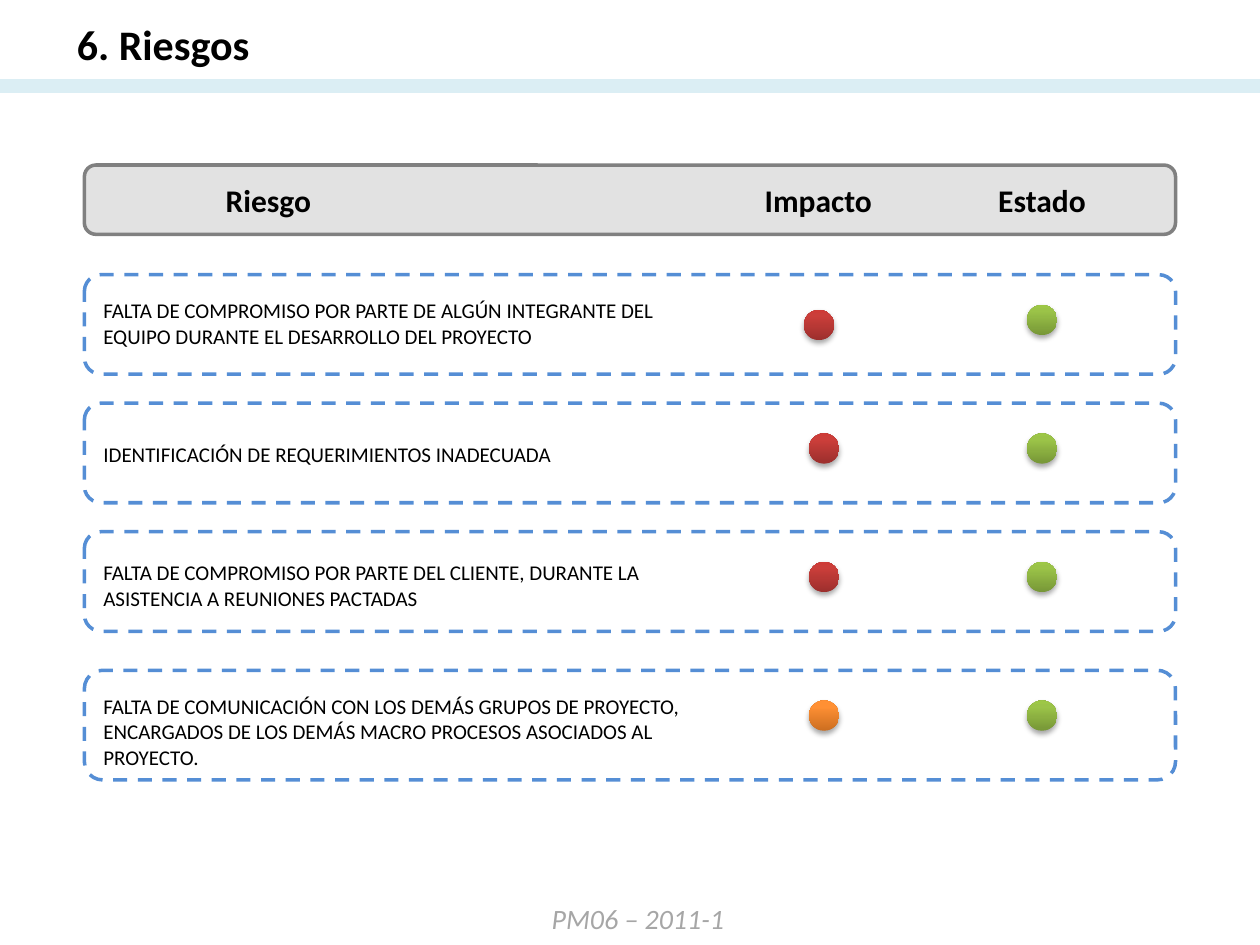
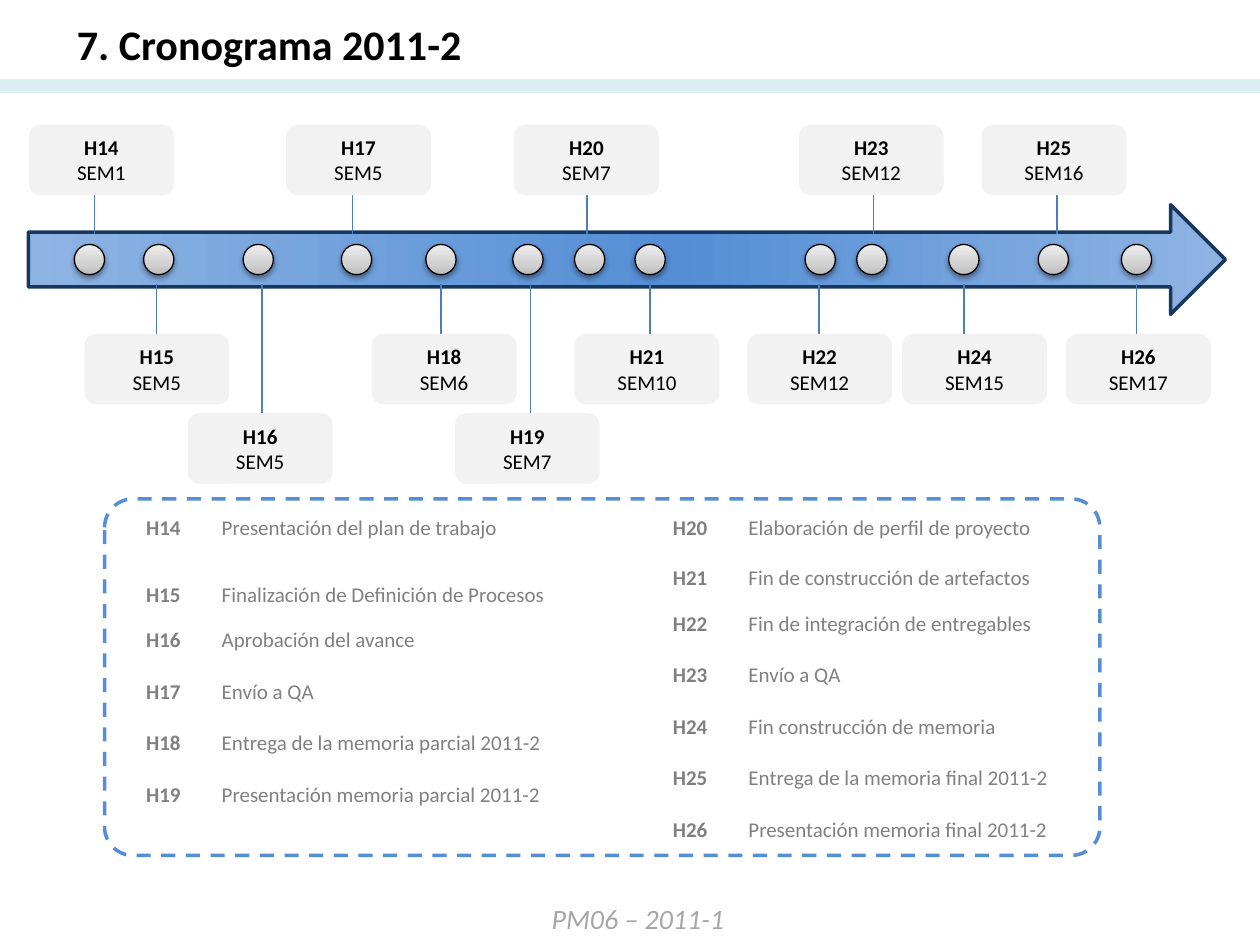
from lxml import etree
from pptx import Presentation
from pptx.dml.color import RGBColor
from pptx.enum import dml, shapes, text
from pptx.oxml.ns import qn
from pptx.util import Inches, Pt

FONT = "Calibri"
COLORS = {
    "black": "000000", "band": "DBEEF4", "footer": "A6A6A6",
    "header": "BFBFBF", "header_line": "808080", "dash": "558ED5",
    "arrow_line": "17375E", "connector": "4B7EBC", "card": "F2F2F2",
    "legend": "808080",
}
GRADIENTS = {
    "green": [(0, "779737"), (80, "9BC348"), (100, "9DC746")],
    "red": [(0, "9C2F2D"), (80, "CB3E3A"), (100, "CE3B37")],
    "orange": [(0, "CC6E20"), (80, "FF9034"), (100, "FF9136")],
    "grey": [(0, "BDBDBD"), (35, "D1D1D1"), (100, "EEEEEE")],
    "arrow": [(0, "8EB4E3"), (46, "558ED5"), (100, "8EB4E3")],
}
SHAPE = shapes.MSO_SHAPE
DOT = 0.24


def rgb(name):
    return RGBColor.from_string(COLORS[name])


def add_color(parent, value, alpha=None):
    color = etree.SubElement(parent, qn("a:srgbClr"), val=value)
    if alpha is not None:
        etree.SubElement(color, qn("a:alpha"), val=str(alpha * 1000))


class Deck:
    """Shared style plus the slide being built."""

    def __init__(self):
        self.presentation = Presentation()
        self.presentation.slide_width = Inches(10)
        self.presentation.slide_height = Inches(7.5)
        self.slide = None

    def start_slide(self, title):
        layout = self.presentation.slide_layouts.get_by_name("Title Only")
        self.slide = self.presentation.slides.add_slide(layout)
        # Title
        shape = self.slide.shapes.title
        shape.left, shape.top = Inches(0.51), Inches(0.1)
        shape.width, shape.height = Inches(5.04), Inches(0.5)
        shape.text_frame.text = title
        shape.text_frame.vertical_anchor = text.MSO_ANCHOR.TOP
        paragraph = shape.text_frame.paragraphs[0]
        paragraph.alignment = text.PP_ALIGN.LEFT
        self.style(paragraph, 24, bold=True)
        # Band and footer
        self.line(0, 0.68, 10, 0.68, "band", 8)
        self.label("PM06 – 2011-1", 4.28, 7.11, 1.59, 0.37, 16, "footer",
                   wrap=False, italic=True)

    def style(self, paragraph, size, color="black", bold=False, italic=False):
        font = paragraph.font
        font.name, font.size = FONT, Pt(size)
        font.bold, font.italic = bold, italic
        font.color.rgb = rgb(color)

    def label(self, words, left, top, width, height, size, color="black",
              wrap=True, align=text.PP_ALIGN.LEFT, bold=False, italic=False):
        box = self.slide.shapes.add_textbox(
            Inches(left), Inches(top), Inches(width), Inches(height))
        box.text_frame.word_wrap = wrap
        box.text_frame.text = words
        paragraph = box.text_frame.paragraphs[0]
        paragraph.alignment = align
        self.style(paragraph, size, color, bold, italic)

    def line(self, x1, y1, x2, y2, color, width):
        connector = self.slide.shapes.add_connector(
            shapes.MSO_CONNECTOR.STRAIGHT,
            Inches(x1), Inches(y1), Inches(x2), Inches(y2))
        connector.line.color.rgb = rgb(color)
        connector.line.width = Pt(width)
        etree.SubElement(connector._element.spPr, qn("a:effectLst"))

    def shape(self, kind, left, top, width, height, fill=None, line=None,
              line_width=2.0, alpha=None):
        shape = self.slide.shapes.add_shape(
            kind, Inches(left), Inches(top), Inches(width), Inches(height))
        shape.shadow.inherit = False
        if fill:
            shape.fill.solid()
            shape.fill.fore_color.rgb = rgb(fill)
            if alpha is not None:
                color = shape._element.spPr.find(".//" + qn("a:srgbClr"))
                etree.SubElement(color, qn("a:alpha"), val=str(alpha * 1000))
        else:
            shape.fill.background()
        if line:
            shape.line.color.rgb = rgb(line)
            shape.line.width = Pt(line_width)
        else:
            shape.line.fill.background()
        return shape

    def gradient(self, shape, name, angle):
        shape.fill.gradient()
        shape.fill.gradient_angle = angle
        stops = shape._element.spPr.find(".//" + qn("a:gsLst"))
        for stop in list(stops):
            stops.remove(stop)
        for position, value in GRADIENTS[name]:
            stop = etree.SubElement(stops, qn("a:gs"), pos=str(position * 1000))
            add_color(stop, value)

    def dot(self, left, top, name, line=None, alpha=35, distance=1.8):
        shape = self.shape(SHAPE.OVAL, left, top, DOT, DOT, line=line,
                           line_width=0.75)
        self.gradient(shape, name, 90)
        effects = shape._element.spPr.find(qn("a:effectLst"))
        shadow = etree.SubElement(
            effects, qn("a:outerShdw"), blurRad=str(Pt(3.1)),
            dist=str(Pt(distance)), dir="5400000", rotWithShape="0")
        add_color(shadow, COLORS["black"], alpha)

    def dashed_box(self, left, top, width, height, corner=None):
        shape = self.shape(SHAPE.ROUNDED_RECTANGLE, left, top, width, height,
                           line="dash")
        shape.line.dash_style = dml.MSO_LINE.DASH
        if corner is not None:
            shape.adjustments[0] = corner

    def card(self, left, top, width, height, heading, detail):
        shape = self.shape(SHAPE.ROUNDED_RECTANGLE, left, top, width, height,
                           fill="card")
        shape.text_frame.vertical_anchor = text.MSO_ANCHOR.MIDDLE
        paragraph = shape.text_frame.paragraphs[0]
        paragraph.alignment = text.PP_ALIGN.CENTER
        self.style(paragraph, 12)
        run = paragraph.add_run()
        run.text, run.font.bold = heading, True
        paragraph.add_line_break()
        paragraph.add_run().text = detail

    def table(self, left, top, columns, heights, rows, color="black",
              bold_first=False, margin=None):
        table = self.slide.shapes.add_table(
            len(rows), len(columns), Inches(left), Inches(top),
            Inches(sum(columns)), Inches(sum(heights))).table
        table.horz_banding = False
        for column, width in zip(table.columns, columns):
            column.width = Inches(width)
        for row, height, values in zip(table.rows, heights, rows):
            row.height = Inches(height)
            for index, (cell, value) in enumerate(zip(row.cells, values)):
                cell.fill.background()
                if margin and value:
                    cell.margin_left = cell.margin_right = Inches(margin)
                    cell.margin_top = cell.margin_bottom = Inches(margin)
                cell.text = value
                self.style(cell.text_frame.paragraphs[0], 12, color,
                           bold=bold_first and index == 0)


deck = Deck()

# Slide 1: risks
deck.start_slide("6. Riesgos")
LEFT, WIDTH = 0.67, 8.66
deck.shape(SHAPE.ROUNDED_RECTANGLE, LEFT, 1.31, WIDTH, 0.55,
           fill="header", line="header_line", alpha=45)
for heading, left, width in [("Riesgo", 1.38, 1.5), ("Impacto", 5.63, 1.73),
                             ("Estado", 7.68, 1.18)]:
    deck.label(heading, left, 1.39, width, 0.4, 18,
               align=text.PP_ALIGN.CENTER, bold=True)

# Box top and height, text top and height, impact dot, risk
RISKS = [
    (2.18, 0.79, 2.22, 0.7, (6.38, 2.46, "red"),
     "FALTA DE COMPROMISO POR PARTE DE ALGÚN INTEGRANTE DEL EQUIPO "
     "DURANTE EL DESARROLLO DEL PROYECTO"),
    (3.2, 0.79, 3.36, 0.6, (6.42, 3.44, "red"),
     "IDENTIFICACIÓN DE REQUERIMIENTOS INADECUADA"),
    (4.22, 0.79, 4.3, 0.7, (6.42, 4.46, "red"),
     "FALTA DE COMPROMISO POR PARTE DEL CLIENTE, DURANTE LA ASISTENCIA "
     "A REUNIONES PACTADAS"),
    (5.32, 0.87, 5.36, 1.07, (6.42, 5.56, "orange"),
     "FALTA DE COMUNICACIÓN CON LOS DEMÁS GRUPOS DE PROYECTO, ENCARGADOS "
     "DE LOS DEMÁS MACRO PROCESOS ASOCIADOS AL PROYECTO."),
]
for top, height, text_top, text_height, impact, risk in RISKS:
    deck.table(LEFT, text_top, [4.98, 1.55, 1.98], [text_height],
               [(risk, "", "")], margin=0.15)
    deck.dashed_box(LEFT, top, WIDTH, height)
    deck.dot(*impact)
    deck.dot(8.15, top + 0.24, "green")

# Slide 2: timeline
deck.start_slide("7. Cronograma 2011-2")
CARD_WIDTH, CARD_HEIGHT = 1.15, 0.56
ABOVE, BELOW, LOWEST = 0.99, 2.65, 3.28

# Milestone, week, card left and top, connector x, marker left
MILESTONES = [
    ("H14", "SEM1", 0.23, ABOVE, 0.75, 0.59),
    ("H15", "SEM5", 0.67, BELOW, 1.24, 1.14),
    ("H16", "SEM5", 1.49, LOWEST, 2.08, 1.93),
    ("H17", "SEM5", 2.27, ABOVE, 2.8, 2.71),
    ("H18", "SEM6", 2.95, BELOW, 3.5, 3.38),
    ("H19", "SEM7", 3.61, LOWEST, 4.21, 4.07),
    ("H20", "SEM7", 4.08, ABOVE, 4.66, 4.56),
    ("H21", "SEM10", 4.56, BELOW, 5.16, 5.04),
    ("H22", "SEM12", 5.93, BELOW, 6.5, 6.39),
    ("H23", "SEM12", 6.34, ABOVE, 6.93, 6.8),
    ("H24", "SEM15", 7.16, BELOW, 7.65, 7.53),
    ("H25", "SEM16", 7.79, ABOVE, 8.39, 8.24),
    ("H26", "SEM17", 8.46, BELOW, 9.02, 8.9),
]
arrow = deck.shape(SHAPE.UP_ARROW, 4.54, -2.69, 0.87, 9.5, line="arrow_line")
arrow.rotation = 90
deck.gradient(arrow, "arrow", 270)
for code, week, left, top, x, marker in MILESTONES:
    start, end = (ABOVE + CARD_HEIGHT, 1.86) if top == ABOVE else (2.25, top)
    deck.line(x, start, x, end, "connector", 0.75)
    deck.card(left, top, CARD_WIDTH, CARD_HEIGHT, code, week)
    deck.dot(marker, 1.94, "grey", line="black", alpha=38, distance=1.6)

# Legend
LEGENDS = [
    (1.06, [0.53, 0.36] + [0.41] * 4, [
        ("H14", "Presentación del plan de trabajo"),
        ("H15", "Finalización de Definición de Procesos"),
        ("H16", "Aprobación del avance"),
        ("H17", "Envío a QA"),
        ("H18", "Entrega de la memoria parcial 2011-2"),
        ("H19", "Presentación memoria parcial 2011-2")]),
    (5.24, [0.4, 0.36] + [0.41] * 5, [
        ("H20", "Elaboración de perfil de proyecto"),
        ("H21", "Fin de construcción de artefactos"),
        ("H22", "Fin de integración de entregables"),
        ("H23", "Envío a QA"),
        ("H24", "Fin construcción de memoria"),
        ("H25", "Entrega de la memoria final 2011-2"),
        ("H26", "Presentación memoria final 2011-2")]),
]
for left, heights, rows in LEGENDS:
    deck.table(left, 4.04, [0.6, 3.19], heights, rows, "legend",
               bold_first=True)
deck.dashed_box(0.83, 3.96, 7.9, 2.83, corner=0.08)

deck.presentation.save("out.pptx")
